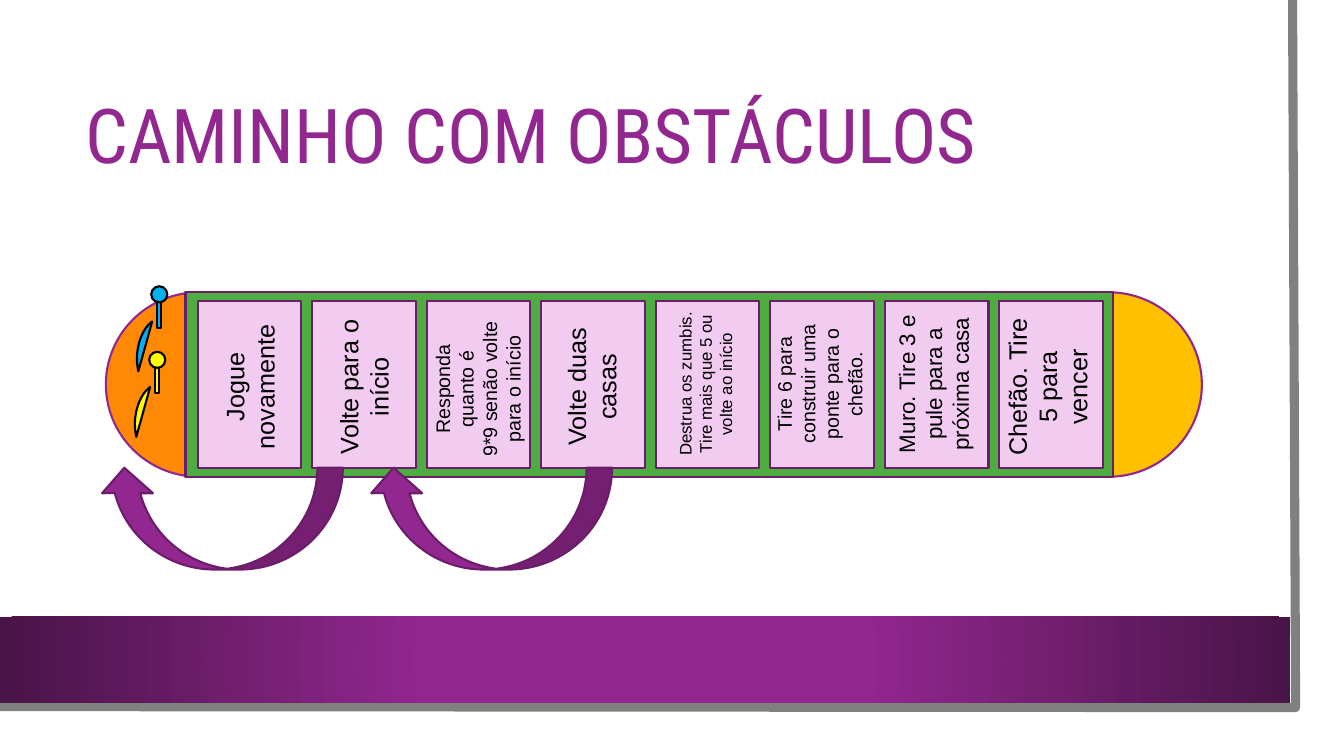
"""Builds the obstacle path board game slide."""
from lxml import etree
from pptx import Presentation
from pptx.dml.color import RGBColor
from pptx.enum.shapes import MSO_SHAPE
from pptx.enum.text import MSO_ANCHOR, MSO_AUTO_SIZE, PP_ALIGN
from pptx.oxml import parse_xml
from pptx.util import Inches, Pt

RECT, OVAL = MSO_SHAPE.RECTANGLE, MSO_SHAPE.OVAL
CHORD, ARROW = MSO_SHAPE.CHORD, MSO_SHAPE.CURVED_DOWN_ARROW
MIDDLE, CENTER = MSO_ANCHOR.MIDDLE, PP_ALIGN.CENTER
GROW = MSO_AUTO_SIZE.SHAPE_TO_FIT_TEXT
PURPLE, EDGE, BLACK = "92278F", "6C1D6A", "000000"
NS = "http://schemas.openxmlformats.org/drawingml/2006/main"

deck = Presentation()
deck.slide_width, deck.slide_height = Inches(13.33), Inches(7.5)
slide = deck.slides.add_slide(deck.slide_layouts[6])


def draw(shapes, kind, box, fill, line):
    """Add a filled preset shape with an outline."""
    shape = shapes.add_shape(kind, *map(Inches, box))
    shape.shadow.inherit = False
    shape.fill.solid()
    shape.fill.fore_color.rgb = RGBColor.from_string(fill)
    shape.line.color.rgb = RGBColor.from_string(line)
    shape.line.width = Pt(1.5)
    return shape


def write(box, lines, size, font, color):
    """Add a wrapping text box with one paragraph per line."""
    label = slide.shapes.add_textbox(*map(Inches, box))
    frame = label.text_frame
    frame.word_wrap = True
    frame.text = "\n".join(lines)
    for para in frame.paragraphs:
        para.font.size, para.font.name = Pt(size), font
        para.font.color.rgb = RGBColor.from_string(color)
    return label


path = slide.shapes.build_freeform(Inches(12.82), 0)
path.add_line_segments([(Inches(12.85), Inches(7.02)), (Inches(-0.03), Inches(7.01))], close=False)
frame = path.convert_to_shape()
frame.shadow.inherit = False
frame.fill.background()
frame.line.color.rgb = RGBColor.from_string("808080")
frame.line.width = Pt(6.5)

band = draw(slide.shapes, RECT, (0, 6.12, 12.8, 0.85), PURPLE, PURPLE)
band.line.fill.background()
props = band.fill._xPr
solid = props.find(etree.QName(NS, "solidFill"))
props.replace(solid, parse_xml(
    f'<a:gradFill xmlns:a="{NS}" rotWithShape="1"><a:gsLst>'
    f'<a:gs pos="34000"><a:srgbClr val="{PURPLE}"/></a:gs>'
    '<a:gs pos="100000"><a:srgbClr val="491447"/></a:gs></a:gsLst>'
    '<a:path path="circle"><a:fillToRect l="50000" t="50000" r="50000" b="50000"/></a:path>'
    '</a:gradFill>'))

title = write((0.75, 0.75, 11.37, 1.26), ["CAMINHO COM OBSTÁCULOS"], 54, "Roboto Condensed", PURPLE)
title.text_frame.vertical_anchor = MIDDLE
title.text_frame.paragraphs[0].line_spacing = 0.9

for left, fill in ((10.07, "FFC000"), (1.05, "FF8905")):
    draw(slide.shapes, OVAL, (left, 2.9, 1.85, 1.83), fill, PURPLE)
draw(slide.shapes, RECT, (1.84, 2.9, 9.2, 1.83), "4EAD41", EDGE)

tiles = [
    (["Jogue novamente"], 18, 1.62, 0.71, 3.84),
    (["Volte para o início"], 18, 1.62, 0.71, 3.84),
    (["Responda", "quanto é", "9*9 senão volte para o início"], 14, 1.75, 1.04, 3.86),
    (["Volte duas casas"], 18, 1.62, 0.71, 3.84),
    (["Destrua os zumbis.", "Tire mais que 5 ou volte ao início"], 12, 1.87, 0.71, 3.81),
    (["Tire 6 para construir uma ponte para o chefão."], 14, 1.83, 1.04, 3.81),
    (["Muro. Tire 3 e pule para a próxima casa"], 16, 1.83, 0.91, 3.81),
    (["Chefão. Tire 5 para vencer"], 18, 1.62, 1.01, 3.84),
]
for col, (lines, size, wide, high, mid) in enumerate(tiles):
    draw(slide.shapes, RECT, (1.96 + col * 7.95 / 7, 2.99, 1.03, 1.65), "F1CCF0", EDGE)
    center = 2.48 + col * 1.13
    label = write((center - wide / 2, mid - high / 2, wide, high), lines, size, "Arial", BLACK)
    label.rotation = 270
    label.text_frame.auto_size = GROW
    for para in label.text_frame.paragraphs:
        para.alignment = CENTER

for left in (3.65, 0.98):
    arrow = draw(slide.shapes, ARROW, (left, 4.64, 2.42, 1.01), PURPLE, EDGE)
    arrow.rotation = 180

for left, top, fill in ((1.21, 2.84, "00B0F0"), (1.19, 3.49, "FFFF00")):
    pawn = slide.shapes.add_group_shape().shapes
    draw(pawn, RECT, (left + 0.35, top + 0.1, 0.04, 0.31), fill, BLACK)
    draw(pawn, OVAL, (left + 0.29, top, 0.16, 0.16), fill, BLACK)
    body = draw(pawn, CHORD, (left, top + 0.47, 0.72, 0.42), fill, BLACK)
    body.rotation = 95.8
    for spot, angle in enumerate((44.54, 163.69)):
        body.adjustments[spot] = angle * 0.6

deck.save("out.pptx")
